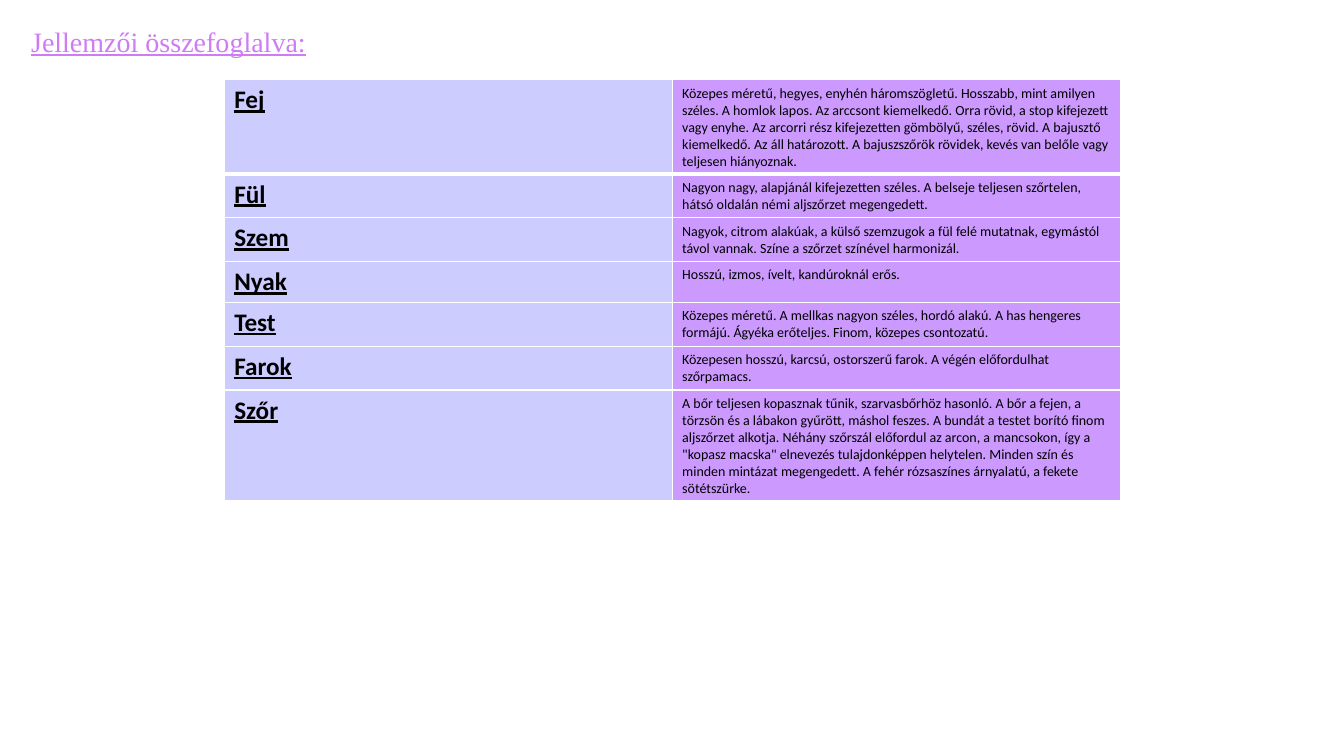
from lxml import etree
from pptx import Presentation
from pptx.dml.color import RGBColor
from pptx.enum import text as tx
from pptx.oxml import ns
from pptx.util import Cm, Pt

PINK = RGBColor(0xCF, 0x7B, 0xF5)
BLACK = RGBColor(0, 0, 0)
LILAC = RGBColor(0xCC, 0xCC, 0xFF)
PURPLE = RGBColor(0xCC, 0x99, 0xFF)
WHITE = RGBColor(0xFF, 0xFF, 0xFF)

TRAITS = [
    ("Fej", "Közepes méretű, hegyes, enyhén háromszögletű. Hosszabb, mint amilyen "
     "széles. A homlok lapos. Az arccsont kiemelkedő. Orra rövid, a stop kifejezett "
     "vagy enyhe. Az arcorri rész kifejezetten gömbölyű, széles, rövid. A bajusztő "
     "kiemelkedő. Az áll határozott. A bajuszszőrök rövidek, kevés van belőle vagy "
     "teljesen hiányoznak."),
    ("Fül", "Nagyon nagy, alapjánál kifejezetten széles. A belseje teljesen szőrtelen, "
     "hátsó oldalán némi aljszőrzet megengedett."),
    ("Szem", "Nagyok, citrom alakúak, a külső szemzugok a fül felé mutatnak, egymástól "
     "távol vannak. Színe a szőrzet színével harmonizál."),
    ("Nyak", "Hosszú, izmos, ívelt, kandúroknál erős."),
    ("Test", "Közepes méretű. A mellkas nagyon széles, hordó alakú. A has hengeres "
     "formájú. Ágyéka erőteljes. Finom, közepes csontozatú."),
    ("Farok", "Közepesen hosszú, karcsú, ostorszerű farok. A végén előfordulhat "
     "szőrpamacs."),
    ("Szőr", "A bőr teljesen kopasznak tűnik, szarvasbőrhöz hasonló. A bőr a fejen, a "
     "törzsön és a lábakon gyűrött, máshol feszes. A bundát a testet borító finom "
     "aljszőrzet alkotja. Néhány szőrszál előfordul az arcon, a mancsokon, így a "
     "\"kopasz macska\" elnevezés tulajdonképpen helytelen. Minden szín és "
     "minden mintázat megengedett. A fehér rózsaszínes árnyalatú, a fekete "
     "sötétszürke."),
]


def write(frame, words, size, font="Calibri", color=BLACK, bold=False, line=False):
    par = frame.paragraphs[0]
    par.alignment = tx.PP_ALIGN.LEFT
    run = par.add_run()
    run.text = words
    face = run.font
    face.name, face.size = font, Pt(size)
    face.bold, face.underline = bold, line
    face.color.rgb = color


def edge(cell, side, width):
    line = etree.SubElement(cell._tc.get_or_add_tcPr(), ns.qn(f"a:ln{side}"),
                            w=str(Pt(width)))
    fill = etree.SubElement(line, ns.qn("a:solidFill"))
    etree.SubElement(fill, ns.qn("a:srgbClr"), val=str(WHITE))


def paint(cell, color, top, base):
    # Borders come before the fill in the cell properties
    for side, width in zip("LRTB", (1, 1, top, base)):
        edge(cell, side, width)
    cell.fill.solid()
    cell.fill.fore_color.rgb = color


def add_title(slide, words):
    title = slide.shapes.title
    title.left, title.top = Cm(0.53), Cm(0.48)
    title.width, title.height = Cm(7.5), Cm(1.12)
    frame = title.text_frame
    frame.word_wrap = False
    frame.auto_size = tx.MSO_AUTO_SIZE.SHAPE_TO_FIT_TEXT
    frame.vertical_anchor = tx.MSO_ANCHOR.TOP
    write(frame, words, 20, font="Times New Roman", color=PINK, line=True)


def add_traits(slide, traits):
    high = Cm(1.03)
    grid = slide.shapes.add_table(len(traits), 2, Cm(5.65), Cm(2.01),
                                  Cm(22.58), high * len(traits)).table
    for row, (part, note) in enumerate(traits):
        grid.rows[row].height = high
        top, base = 3 if row == 1 else 1, 3 if row == 0 else 1
        name, info = grid.cell(row, 0), grid.cell(row, 1)
        write(name.text_frame, part, 18, bold=True, line=True)
        write(info.text_frame, note, 10)
        paint(name, LILAC, top, base)
        paint(info, PURPLE, top, base)


def main():
    deck = Presentation()
    deck.slide_width, deck.slide_height = Cm(33.87), Cm(19.05)
    slide = deck.slides.add_slide(deck.slide_layouts[5])
    # Heading
    add_title(slide, "Jellemzői összefoglalva:")
    # Table of body parts
    add_traits(slide, TRAITS)
    deck.save("out.pptx")


if __name__ == "__main__":
    main()
